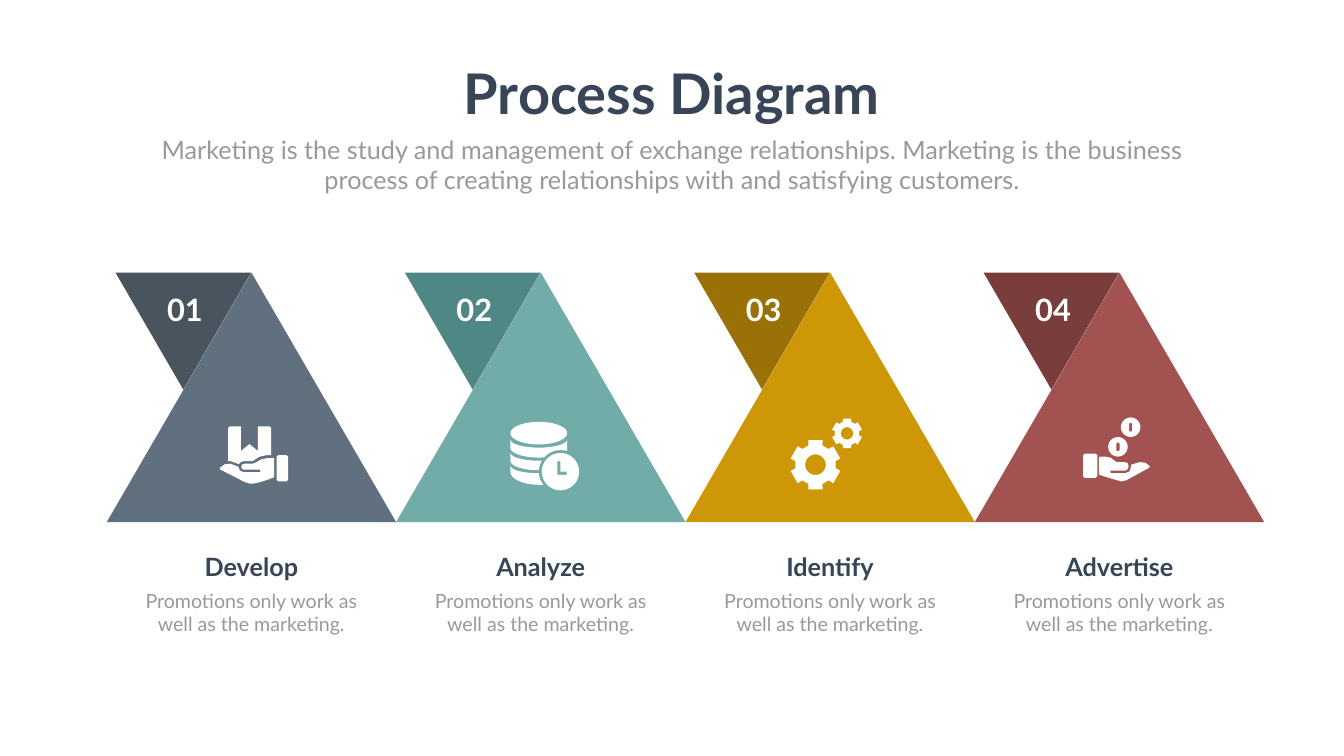
from math import cos, radians, sin

from pptx import Presentation
from pptx.dml.color import RGBColor
from pptx.enum.shapes import MSO_SHAPE
from pptx.enum.text import MSO_AUTO_SIZE, PP_ALIGN
from pptx.util import Cm, Pt

TRIANGLE = MSO_SHAPE.ISOSCELES_TRIANGLE
CENTER = PP_ALIGN.CENTER
GROW = MSO_AUTO_SIZE.SHAPE_TO_FIT_TEXT

PAPER = RGBColor(0xFE, 0xFF, 0xFE)
WHITE = RGBColor(0xFF, 0xFF, 0xFF)
NAVY = RGBColor(0x37, 0x45, 0x56)
GRAY = RGBColor(0x99, 0x99, 0x99)
SLATE = RGBColor(0x61, 0x70, 0x7F)
SLATE_DARK = RGBColor(0x49, 0x54, 0x5F)
TEAL = RGBColor(0x72, 0xAC, 0xA9)
TEAL_DARK = RGBColor(0x4F, 0x87, 0x84)
GOLD = RGBColor(0xCD, 0x97, 0x08)
GOLD_DARK = RGBColor(0x9A, 0x71, 0x06)
RED = RGBColor(0xA2, 0x52, 0x50)
RED_DARK = RGBColor(0x79, 0x3E, 0x3C)

LEFT, TOP, PITCH, HEIGHT = 5.38, 13.74, 14.58, 12.57
ICON_TOP = 21

STEPS = [
    ("Develop", SLATE, SLATE_DARK),
    ("Analyze", TEAL, TEAL_DARK),
    ("Identify", GOLD, GOLD_DARK),
    ("Advertise", RED, RED_DARK),
]
NOTE = "Promotions only work as well as the marketing."
LEAD = ("Marketing is the study and management of exchange relationships. "
        "Marketing is the business process of creating relationships with "
        "and satisfying customers.")

# Text formats
TITLE = {"size": Pt(80), "bold": True, "color": NAVY}
INTRO = {"size": Pt(36), "bold": False, "color": GRAY}
NUMBER = {"size": Pt(44), "bold": True, "color": WHITE}
LABEL = {"size": Pt(36), "bold": True, "color": NAVY}
DETAIL = {"size": Pt(28), "bold": False, "color": GRAY}


def arc(x, y, rx, ry, start=0, end=360, count=36):
    """Points along an ellipse, with angles running clockwise."""
    turns = [radians(start + (end - start) * i / count) for i in range(count + 1)]
    return [(x + rx * cos(t), y + ry * sin(t)) for t in turns]


def block(left, top, right, bottom, cut=0.8):
    """Corner points of a rectangle with trimmed corners."""
    return [(left + cut, top), (right - cut, top), (right, top + cut),
            (right, bottom - cut), (right - cut, bottom),
            (left + cut, bottom), (left, bottom - cut), (left, top + cut)]


# Icon outlines in mm, measured from each triangle's centre line.
# Each outline is a list of contours; later contours are holes.
parcel = [
    (9.1, 4.9), (3.3, 4.9), (3.3, 17.3), (-1, 13.8), (-5.3, 17.3), (-5.3, 4.9),
    (-10.9, 4.9), (-11.7, 5.6), (-11.7, 22.4), (-10.4, 22.4), (-6.4, 23.9),
    (-5.3, 22.8), (-3.8, 22.4), (0.8, 22.4), (1.3, 21.9), (4, 20.2),
    (7.6, 19.4), (9.9, 19.4), (9.9, 5.6),
]
giver = [
    (11.4, 20.9), (7.9, 20.9), (4.8, 21.6), (2, 23.2), (0.5, 23.7),
    (-3.8, 23.7), (-4.8, 24.2), (-5.1, 25.2), (-4.8, 26.2), (-3.8, 26.7),
    (4.1, 26.7), (4.8, 27.4), (4.1, 28), (-3.8, 28), (-5.8, 27.2),
    (-6.6, 25.2), (-10.7, 23.7), (-13.5, 24), (-15.7, 25.7), (-16, 26.2),
    (-15.7, 26.7), (-8.4, 30.3), (-4.1, 32.6), (-1.5, 33.6), (0.3, 33.8),
    (3.3, 33.3), (8.1, 31.8), (11.4, 30.5),
]
taker = [
    (15, 24.7), (13, 23.2), (10.2, 22.9), (5.8, 24.2), (5.8, 25), (5.1, 27.5),
    (2.8, 28.5), (-4.3, 28.5), (-4.8, 27.8), (-4.3, 27.2), (2.8, 27.2),
    (4.1, 26.5), (4.6, 25), (4.1, 23.4), (2.8, 22.9), (-1, 22.9), (-1.8, 22.7),
    (-4.6, 20.6), (-7.6, 20.1), (-9.9, 20.1), (-10.4, 20.9), (-10.4, 28.5),
    (-10.2, 29.3), (-4.8, 31), (0.8, 32.6), (3.3, 32.1), (6.6, 30.3),
    (15, 25.7), (15.2, 25),
]

# Database: a lid, three bands trimmed around the clock, and the clock
hands = [(8.4, 22.4), (9.9, 22.4), (9.9, 27.7), (13, 27.7), (13, 29.3), (8.4, 29.3)]
store = [[arc(-1, 8.3, 14.3, 5.7)], [arc(9.9, 27.7, 9.4, 9.4), hands]]
for top, dip, base, sag, stop, start, end in [
    (11.5, 4.1, 15.6, 5, 0, -72, -139),
    (18.1, 4.1, 22.2, 4.8, 90, -149, -176),
    (24.7, 3.8, 27.7, 6.6, 90, -184, -218),
]:
    store.append([arc(-1, top, 14.3, dip, 180, stop)
                  + arc(9.9, 27.7, 10.9, 10.9, start, end)
                  + arc(-1, base, 14.3, sag, 90, 180)])

# Gears: six teeth around a round hole
gears = []
for x, y, size in [(-7.4, 24.2, 1), (8.5, 8.4, 0.6)]:
    rim = []
    for tooth in range(30, 390, 60):
        for turn, reach in [(-20, 10.3), (-16, 12.9), (16, 12.9), (20, 10.3)]:
            t = radians(tooth + turn)
            rim.append((x + size * reach * cos(t), y + size * reach * sin(t)))
    gears.append([rim, arc(x, y, 5.2 * size, 5.2 * size)])

# Coins above the open hand
coins = [[arc(x, y, 4.9, 4.9), block(x - 0.8, y - 2.2, x + 0.8, y + 2.2, 0.5)]
         for x, y in [(5.6, 5.3), (-0.8, 15.2)]]

ICONS = [
    [[block(12.7, 19.4, 18.5, 32.6)], [parcel], [giver]],
    store,
    gears,
    [[block(-18.3, 18.6, -11.2, 30.8)], [taker]] + coins,
]

# Slide
deck = Presentation()
deck.slide_width, deck.slide_height = Cm(67.72), Cm(38.1)
slide = deck.slides.add_slide(deck.slide_layouts[6])
slide.background.fill.solid()
slide.background.fill.fore_color.rgb = PAPER
shapes = slide.shapes

texts = [
    ("Process Diagram", 22.89, 2.84, 21.92, 3.68, TITLE),
    (LEAD, 7.42, 6.63, 52.88, 3.33, INTRO),
]
painted = []

# Triangles, with a dark flap at the upper left of each
for i, (name, main, dark) in enumerate(STEPS):
    left = LEFT + i * PITCH
    body = shapes.add_shape(TRIANGLE, Cm(left), Cm(TOP), Cm(PITCH), Cm(HEIGHT))
    flap = shapes.add_shape(TRIANGLE, Cm(left + 0.44), Cm(TOP), Cm(6.83), Cm(5.89))
    flap.rotation = 180
    painted += [(body, main), (flap, dark)]
    texts += [
        (f"{i + 1:02}", left + 2.58, 14.55, 2.72, 2.13, NUMBER),
        (name, left + 3.97, 27.64, 6.63, 1.8, LABEL),
        (NOTE, left + 0.88, 29.54, 12.8, 2.64, DETAIL),
    ]

# Icons
for i, icon in enumerate(ICONS):
    middle = LEFT + (i + 0.5) * PITCH
    for outline in icon:
        rings = [[(x * 100, y * 100) for x, y in ring] for ring in outline]
        pen = shapes.build_freeform(*rings[0][0], scale=Cm(0.001))
        pen.add_line_segments(rings[0][1:])
        for ring in rings[1:]:
            pen.move_to(*ring[0])
            pen.add_line_segments(ring[1:])
        painted.append((pen.convert_to_shape(Cm(middle), Cm(ICON_TOP)), WHITE))

for shape, color in painted:
    shape.shadow.inherit = False
    shape.fill.solid()
    shape.fill.fore_color.rgb = color
    shape.line.fill.background()

# Texts
for words, left, top, width, height, style in texts:
    box = shapes.add_textbox(Cm(left), Cm(top), Cm(width), Cm(height))
    frame = box.text_frame
    frame.word_wrap = style is not TITLE
    frame.auto_size = GROW
    para = frame.paragraphs[0]
    para.alignment = CENTER
    run = para.add_run()
    run.text = words
    run.font.name = "Lato"
    for key, value in style.items():
        if key == "color":
            run.font.color.rgb = value
        else:
            setattr(run.font, key, value)

deck.save("out.pptx")
